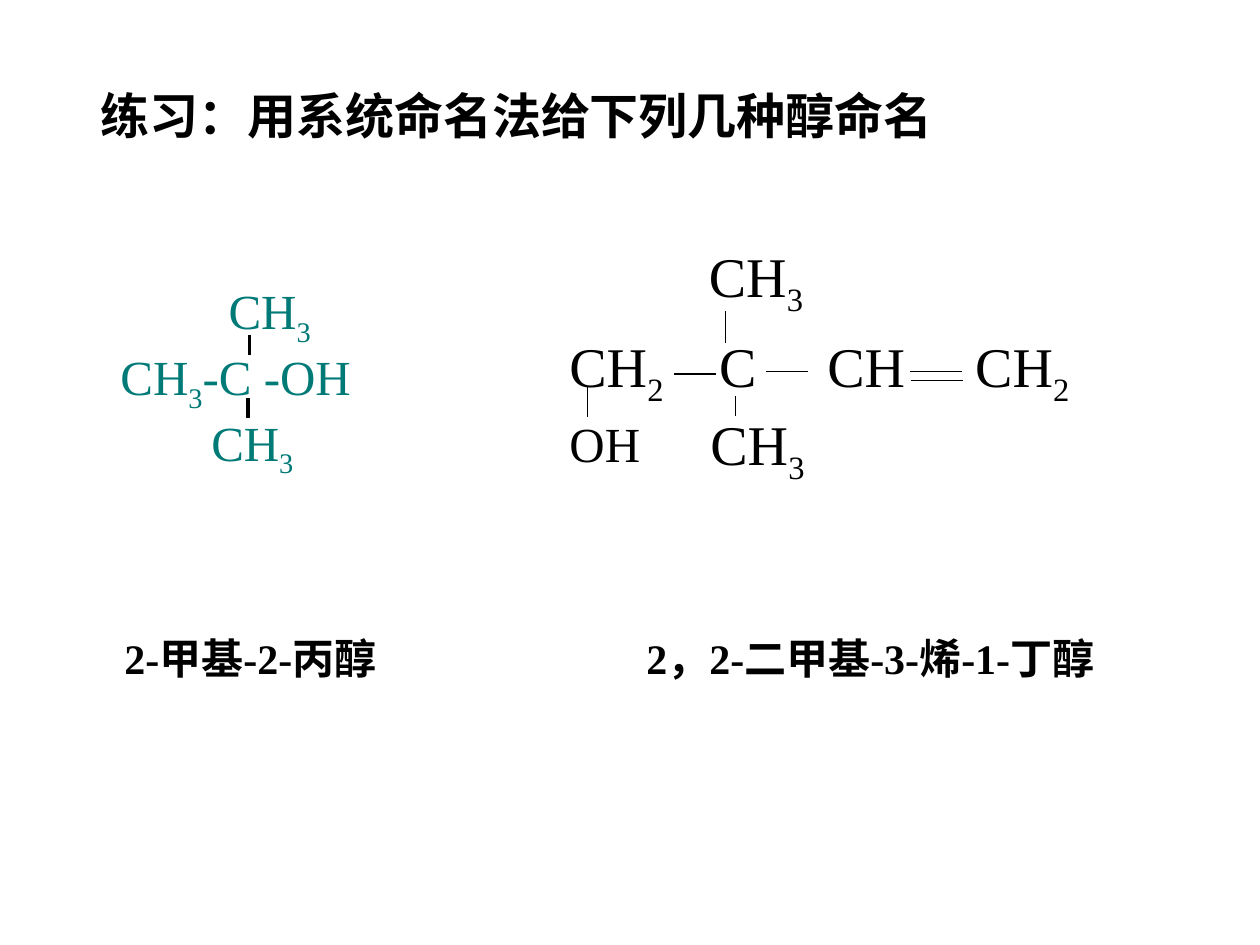
import pptx
import pptx.dml.color
import pptx.enum.shapes
import pptx.enum.text
import pptx.oxml
import pptx.oxml.ns
import pptx.util
from pptx.util import Cm

COLORS = {"ink": "000000", "teal": "007A77"}
FONT = "Times New Roman"
ANCHOR = pptx.enum.text.MSO_ANCHOR
ALIGN = pptx.enum.text.PP_ALIGN


def add_element(parent, tag, **attrs):
    child = pptx.oxml.parse_xml(f"<a:{tag} {pptx.oxml.ns.nsdecls('a')}/>")
    for name, value in attrs.items():
        child.set(name, str(value))
    parent.append(child)
    return child


class Deck:
    def __init__(self, width, height):
        self.prs = pptx.Presentation()
        self.prs.slide_width, self.prs.slide_height = Cm(width), Cm(height)
        self.s = self.prs.slides.add_slide(self.prs.slide_layouts[5])

    def frame(self, sp, anchor=ANCHOR.TOP, wrap=True):
        tf = sp.text_frame
        values = {"auto_size": pptx.enum.text.MSO_AUTO_SIZE.NONE,
                  "word_wrap": wrap, "vertical_anchor": anchor,
                  "margin_left": Cm(0.25), "margin_right": Cm(0.25),
                  "margin_top": Cm(0.13), "margin_bottom": Cm(0.13)}
        for name, value in values.items():
            setattr(tf, name, value)
        return tf

    def runs(self, p, text, size, color="ink", bold=False):
        """Write text in which every second part between bars is a subscript."""
        for i, part in enumerate(text.split("|")):
            if not part:
                continue
            r = p.add_run()
            r.text = part
            values = {"name": FONT, "size": pptx.util.Pt(size), "bold": bold}
            for name, value in values.items():
                setattr(r.font, name, value)
            r.font.color.rgb = pptx.dml.color.RGBColor.from_string(COLORS[color])
            if i % 2:
                r._r.get_or_add_rPr().set("baseline", "-25000")

    def title(self, text, box, size):
        sp = self.s.shapes.title
        sp.left, sp.top, sp.width, sp.height = map(Cm, box)
        p = self.frame(sp).paragraphs[0]
        p.alignment = ALIGN.LEFT
        self.runs(p, text, size, bold=True)

    def text(self, text, box, size, tabs=(), align=ALIGN.LEFT, bold=False, **frame):
        sp = self.s.shapes.add_textbox(*map(Cm, box))
        p = self.frame(sp, **frame).paragraphs[0]
        p.alignment = align
        if tabs:
            tab_list = add_element(p._p.get_or_add_pPr(), "tabLst")
            for pos in tabs:
                add_element(tab_list, "tab", pos=int(Cm(pos)), algn="l")
        self.runs(p, text, size, bold=bold)

    def indented_rows(self, rows, box, size, color):
        tf = self.frame(self.s.shapes.add_textbox(*map(Cm, box)))
        for i, (indent, text) in enumerate(rows):
            p = tf.add_paragraph() if i else tf.paragraphs[0]
            p.line_spacing = 0.8
            if i:
                p.space_before = pptx.util.Pt(7)
            p._p.get_or_add_pPr().set("marL", str(int(Cm(indent))))
            self.runs(p, text, size, color)

    def bond(self, x1, y1, x2, y2, width=0.75):
        line = self.s.shapes.add_connector(
            pptx.enum.shapes.MSO_CONNECTOR.STRAIGHT, *map(Cm, (x1, y1, x2, y2)))
        line.line.width = pptx.util.Pt(width)
        line.line.color.rgb = pptx.dml.color.RGBColor.from_string(COLORS["ink"])
        add_element(line._element.spPr, "effectLst")


def main():
    deck = Deck(25.4, 19.05)
    deck.title("练习：用系统命名法给下列几种醇命名", (1.78, 1.6, 18.26, 1.45), 28)

    # First alcohol
    deck.indented_rows([(2.18, "CH|3"), (0, "CH|3|-C -OH"), (1.83, "CH|3")],
                       (2.18, 5.66, 6.6, 4.01), 28, "teal")
    for x, y in ((5.03, 6.76), (5, 8.03)):
        deck.bond(x, y, x, y + 0.4, 2.25)

    # Second alcohol
    deck.text("CH|2|\tC\tCH\tCH|2", (11.23, 6.71, 13.2, 1.47), 32,
              tabs=(3.02, 5.2, 8.18), anchor=ANCHOR.MIDDLE)
    for x, y in ((13.97, 4.37), (14, 7.75)):
        deck.text("CH|3", (x, y, 2.54, 2.54), 32, align=ALIGN.CENTER,
                  anchor=ANCHOR.MIDDLE, wrap=False)
    deck.text("OH", (11.23, 8.2, 2.59, 1.45), 28)
    for x, y, length in ((13.59, 7.54, 0.84), (15.44, 7.49, 0.84),
                         (18.34, 7.49, 1.05), (18.36, 7.67, 1.05)):
        deck.bond(x, y, x + length, y)
    for x, y, length in ((14.63, 6.27, 0.64), (14.83, 7.98, 0.4), (11.84, 7.8, 0.61)):
        deck.bond(x, y, x, y + length)

    deck.text("2-甲基-2-丙醇\t2，2-二甲基-3-烯-1-丁醇", (2.26, 12.62, 22.56, 1.27),
              24, tabs=(10.52,), bold=True)
    deck.prs.save("out.pptx")


if __name__ == "__main__":
    main()
